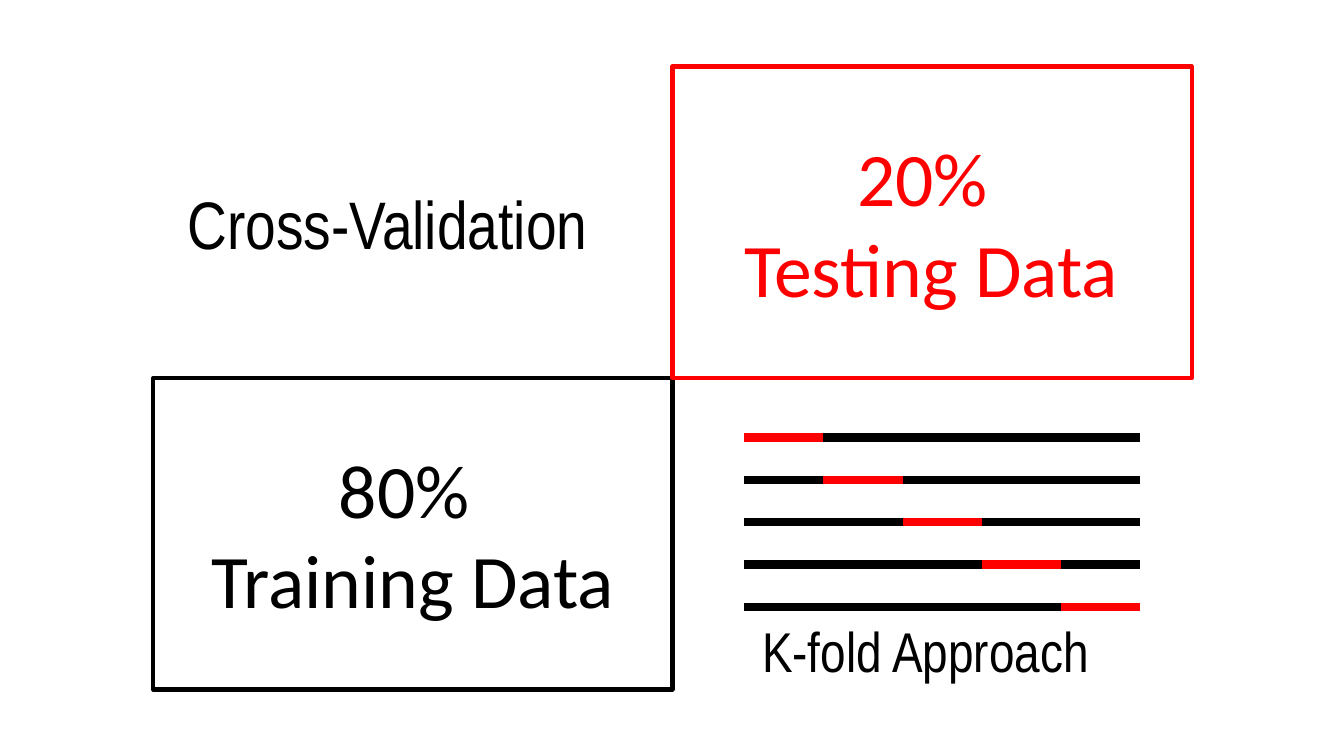
import pptx
import pptx.dml.color
import pptx.enum.shapes
import pptx.enum.text
import pptx.oxml.ns
import pptx.util
from lxml import etree
from pptx.util import Inches

COLORS = {"train": "000000", "test": "FF0000"}
FOLDS = 5
FOLD_LEFT, FOLD_TOP = 7.38, 4.34
FOLD_WIDTH, FOLD_GAP = 3.93 / FOLDS, 0.42
PANEL_WIDTH, PANEL_HEIGHT = 5.15, 3.09


def rgb(name):
    return pptx.dml.color.RGBColor.from_string(COLORS[name])


def add_text(page, lines, left, top, width, height, size, font, color="train", centered=False):
    box = page.shapes.add_textbox(Inches(left), Inches(top), Inches(width), Inches(height))
    frame = box.text_frame
    frame.word_wrap = True
    frame.auto_size = pptx.enum.text.MSO_AUTO_SIZE.SHAPE_TO_FIT_TEXT
    frame.text = "\n".join(lines)
    for para in frame.paragraphs:
        if centered:
            para.alignment = pptx.enum.text.PP_ALIGN.CENTER
        para.font.size = pptx.util.Pt(size)
        para.font.name = font
        para.font.color.rgb = rgb(color)


def add_panel(page, left, top, color):
    panel = page.shapes.add_shape(
        pptx.enum.shapes.MSO_SHAPE.RECTANGLE,
        Inches(left), Inches(top), Inches(PANEL_WIDTH), Inches(PANEL_HEIGHT))
    panel.shadow.inherit = False
    panel.fill.background()
    panel.line.color.rgb = rgb(color)
    panel.line.width = pptx.util.Pt(3)


def add_bar(page, left, top, width, color):
    bar = page.shapes.add_connector(
        pptx.enum.shapes.MSO_CONNECTOR.STRAIGHT,
        Inches(left), Inches(top), Inches(left + width), Inches(top))
    bar.line.color.rgb = rgb(color)
    bar.line.width = pptx.util.Pt(6)
    # An empty effect list removes the theme shadow
    etree.SubElement(bar._element.spPr, pptx.oxml.ns.qn("a:effectLst"))


def add_folds(page):
    # Each row tests on one fold and trains on the others
    for fold in range(FOLDS):
        top = FOLD_TOP + fold * FOLD_GAP
        add_bar(page, FOLD_LEFT, top, FOLDS * FOLD_WIDTH, "train")
        add_bar(page, FOLD_LEFT + fold * FOLD_WIDTH, top, FOLD_WIDTH, "test")


def main():
    deck = pptx.Presentation()
    deck.slide_width, deck.slide_height = Inches(13.33), Inches(7.5)
    page = deck.slides.add_slide(deck.slide_layouts[6])

    # Title
    add_text(page, ["Cross-Validation"], 1.76, 1.76, 5.15, 0.91, 48, "Arial Narrow")

    # Training and testing panels
    add_text(page, ["80% ", "Training Data"], 0.93, 4.34, 6.33, 1.92, 54, "Calibri", centered=True)
    add_panel(page, 1.52, 3.75, "train")
    add_panel(page, 6.67, 0.66, "test")
    add_text(page, ["20% ", "Testing Data"], 6.07, 1.25, 6.33, 1.92, 54, "Calibri", "test", True)

    # K-fold diagram
    add_folds(page)
    add_text(page, ["K-fold Approach"], 7.46, 6.07, 4.11, 0.77, 40, "Arial Narrow")

    deck.save("out.pptx")


if __name__ == "__main__":
    main()
